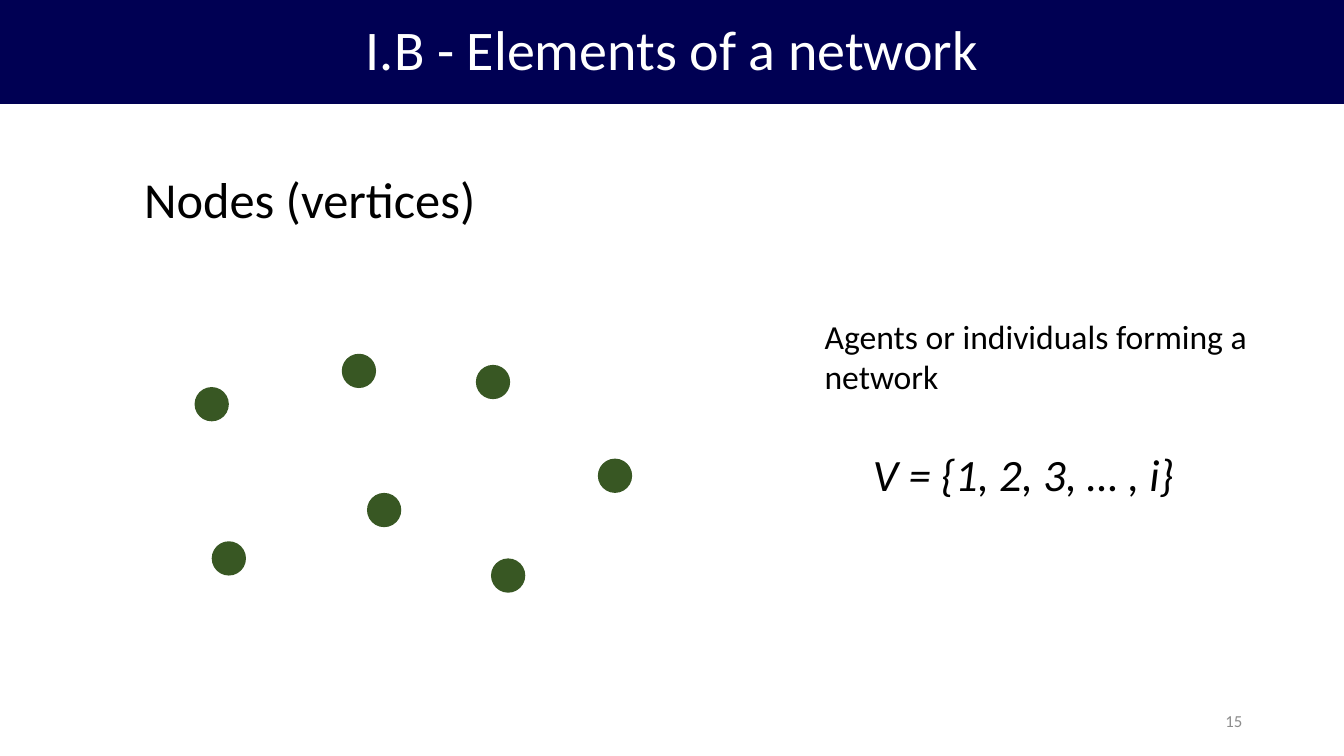
from pptx import Presentation
from pptx.dml.color import RGBColor
from pptx.enum.shapes import MSO_SHAPE
from pptx.enum.text import MSO_ANCHOR, MSO_AUTO_SIZE, PP_ALIGN
from pptx.util import Inches, Pt

COLORS = {"banner": "000053", "title": "FFFFFF", "text": "000000", "number": "8C8C8C", "node": "385723"}
FONT = "Calibri"
TITLE = "I.B - Elements of a network"
NODE_SIZE = 0.34
NODES = [(3.64, 4.89), (4.72, 3.62), (4.87, 5.54), (5.93, 4.55), (3.39, 3.51), (1.93, 3.84), (2.1, 5.37)]
LABELS = [
    {"text": "Nodes (vertices)", "box": (1.33, 1.62, 3.52, 0.71), "size": 36, "wrap": False},
    {"text": "Agents or individuals forming a network", "box": (8.08, 3.08, 4.88, 0.91), "size": 24},
    {"text": "V = {1, 2, 3, … , i}", "box": (8.56, 4.38, 3.22, 0.64), "size": 32, "wrap": False, "italic": True},
    {"text": "15", "box": (9.42, 6.95, 3, 0.4), "size": 12, "color": "number",
     "align": PP_ALIGN.RIGHT, "anchor": MSO_ANCHOR.MIDDLE},
]


def color(name):
    return RGBColor.from_string(COLORS[name])


def write(shape, text, size, color_name="text", align=PP_ALIGN.LEFT, anchor=MSO_ANCHOR.TOP, wrap=True, italic=False):
    frame = shape.text_frame
    frame.text = text
    frame.auto_size = MSO_AUTO_SIZE.NONE
    frame.word_wrap = wrap
    frame.vertical_anchor = anchor
    paragraph = frame.paragraphs[0]
    paragraph.alignment = align
    font = paragraph.font
    font.name = FONT
    font.size = Pt(size)
    font.italic = italic
    font.color.rgb = color(color_name)
    return paragraph


def add_title(slide):
    title = slide.shapes.title
    title.left, title.top, title.width, title.height = map(Inches, (0, 0, 13.33, 1.03))
    title.fill.solid()
    title.fill.fore_color.rgb = color("banner")
    paragraph = write(title, TITLE, 40, "title", PP_ALIGN.CENTER, MSO_ANCHOR.MIDDLE)
    paragraph.line_spacing = 0.9


def add_node(slide, left, top):
    node = slide.shapes.add_shape(MSO_SHAPE.OVAL, *map(Inches, (left, top, NODE_SIZE, NODE_SIZE)))
    node.shadow.inherit = False
    node.fill.solid()
    node.fill.fore_color.rgb = color("node")
    node.line.fill.background()


def add_label(slide, text, box, size, color="text", **options):
    textbox = slide.shapes.add_textbox(*map(Inches, box))
    write(textbox, text, size, color, **options)


def main():
    presentation = Presentation()
    presentation.slide_width = Inches(13.33)
    presentation.slide_height = Inches(7.5)
    slide = presentation.slides.add_slide(presentation.slide_layouts[5])
    add_title(slide)
    for left, top in NODES:
        add_node(slide, left, top)
    for label in LABELS:
        add_label(slide, **label)
    presentation.save("out.pptx")


if __name__ == "__main__":
    main()
